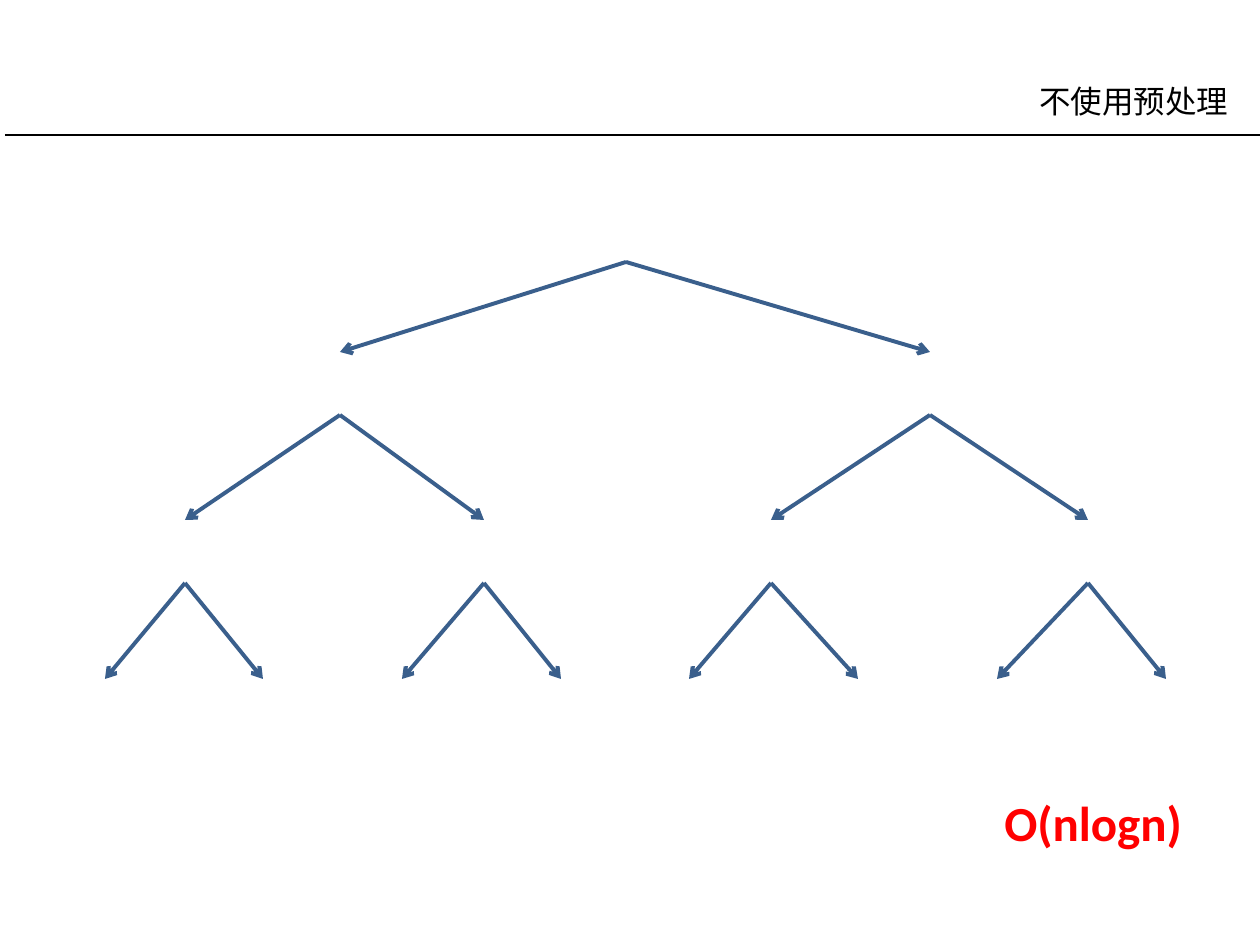
from lxml import etree
from pptx import Presentation
from pptx.dml.color import RGBColor
from pptx.enum.shapes import MSO_CONNECTOR
from pptx.enum.text import MSO_AUTO_SIZE
from pptx.oxml.ns import qn
from pptx.util import Emu, Pt

STRAIGHT = MSO_CONNECTOR.STRAIGHT
FIT_SHAPE = MSO_AUTO_SIZE.SHAPE_TO_FIT_TEXT
BLACK = RGBColor(0x00, 0x00, 0x00)
BLUE = RGBColor(0x3A, 0x5F, 0x8C)
RED = RGBColor(0xFF, 0x00, 0x00)
FONT = "Calibri"
PX_PER_INCH = 126

TEXTS = [
    ("不使用预处理", (1027, 76, 214, 50), 18, BLACK, False, False),
    ("O(nlogn)", (992, 786, 214, 72), 28, RED, True, True),
]
HEADER_RULE = ((5, 135), (1265, 135))
TREE_COLUMNS = [
    [626],
    [340, 930],
    [185, 484, 771, 1088],
    [105, 263, 402, 561, 689, 858, 997, 1166],
]
BRANCH_ROWS = [(262, 352), (415, 520), (583, 679)]


def px(length):
    return Emu(round(length * 914400 / PX_PER_INCH))


def add_text(page, text, place, size, color, bold, wrap):
    box = page.shapes.add_textbox(*map(px, place))
    frame = box.text_frame
    frame.word_wrap = wrap
    frame.auto_size = FIT_SHAPE
    frame.text = text
    font = frame.paragraphs[0].runs[0].font
    font.name = FONT
    font.size = Pt(size)
    font.bold = bold
    font.color.rgb = color


def add_line(shapes, start, end, color, width, arrow=False):
    line = shapes.add_connector(STRAIGHT, *map(px, start + end))
    line.line.color.rgb = color
    line.line.width = Pt(width)
    if arrow:
        outline = line.line._get_or_add_ln()
        etree.SubElement(outline, qn("a:tailEnd"), type="arrow")
    etree.SubElement(line._element.spPr, qn("a:effectLst"))


def add_tree(page):
    group = page.shapes.add_group_shape()
    for level, (top, bottom) in enumerate(BRANCH_ROWS):
        parents = TREE_COLUMNS[level]
        for index, child in enumerate(TREE_COLUMNS[level + 1]):
            start = (parents[index // 2], top)
            add_line(group.shapes, start, (child, bottom), BLUE, 2.25, arrow=True)


def main():
    deck = Presentation()
    deck.slide_width = px(1260)
    deck.slide_height = px(945)
    page = deck.slides.add_slide(deck.slide_layouts[6])
    add_line(page.shapes, *HEADER_RULE, BLACK, 0.75)
    add_tree(page)
    for text in TEXTS:
        add_text(page, *text)
    deck.save("out.pptx")


if __name__ == "__main__":
    main()
